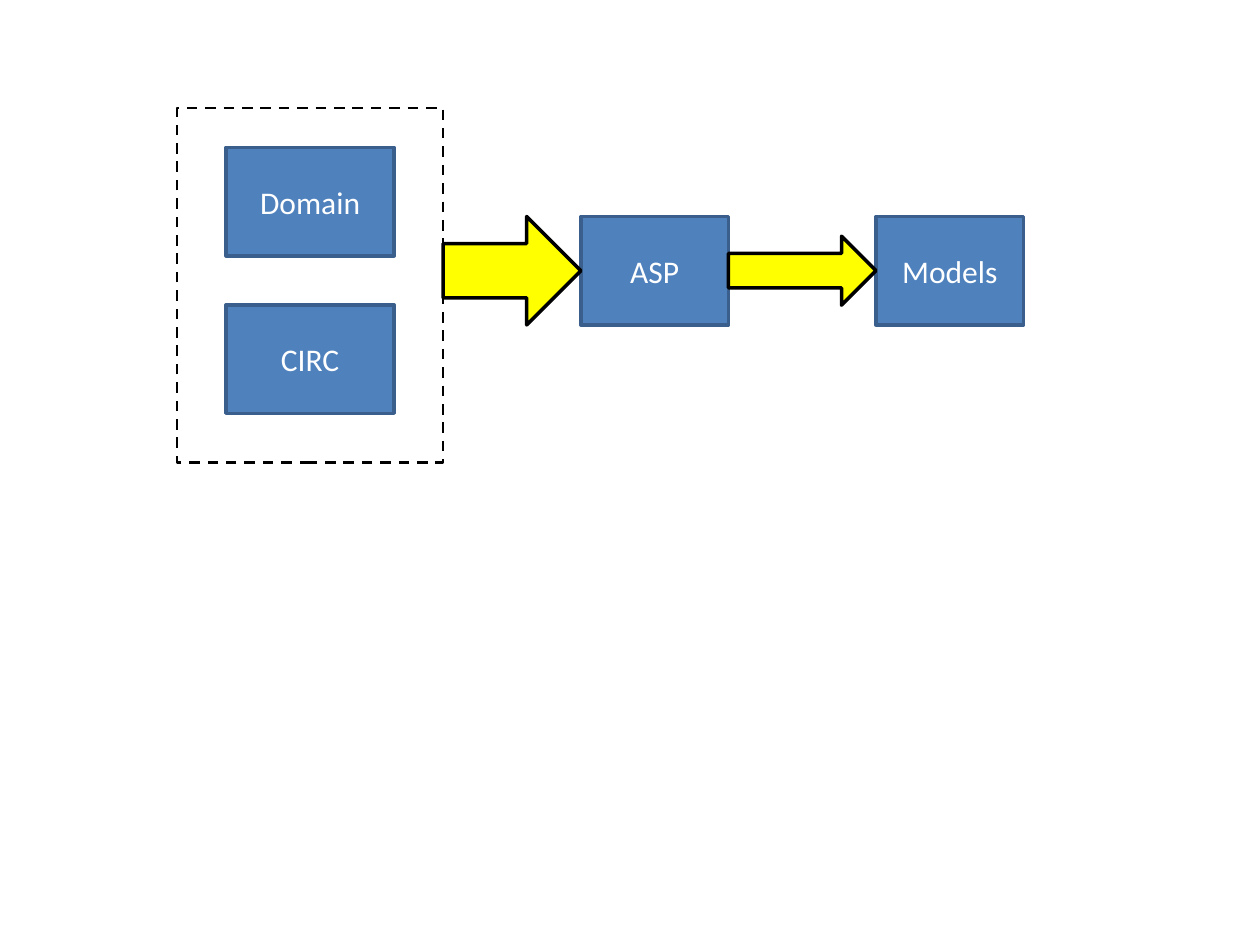
import pptx
import pptx.util
from dataclasses import dataclass
from pptx.dml.color import RGBColor
from pptx.enum.dml import MSO_LINE
from pptx.enum.shapes import MSO_SHAPE
from pptx.enum.text import MSO_ANCHOR, PP_ALIGN

Pt = pptx.util.Pt


@dataclass(frozen=True)
class Theme:
    box_fill: RGBColor = RGBColor(0x4F, 0x81, 0xBD)
    box_edge: RGBColor = RGBColor(0x3A, 0x5F, 0x8C)
    label: RGBColor = RGBColor(0xFF, 0xFF, 0xFF)
    arrow_fill: RGBColor = RGBColor(0xFF, 0xFF, 0x00)
    ink: RGBColor = RGBColor(0, 0, 0)
    font: str = "Calibri"
    label_size: float = 18
    edge_width: float = 2
    frame_width: float = 1.5


THEME = Theme()

# Layout in points: the whole flow runs along one centre line
FLOW_Y = 154.7
STEP_HEIGHT = 62
STEP_WIDTH = 84.3
INPUT_WIDTH = 96
INPUTS_LEFT, INPUTS_WIDTH = 101.2, 152
INPUTS_TOP, INPUTS_HEIGHT = 61.8, 202.4
INPUT_X = INPUTS_LEFT + (INPUTS_WIDTH - INPUT_WIDTH) / 2
DOMAIN_Y, CIRC_Y = 115.2, 205.2
INPUTS_RIGHT = INPUTS_LEFT + INPUTS_WIDTH
ASP_X = 332
ASP_RIGHT = ASP_X + STEP_WIDTH
MODELS_X = ASP_RIGHT + STEP_WIDTH


def apply_format(target, values):
    for name, value in values.items():
        setattr(target, name, value)


def add_outlined(slide, preset, left, top, width, height, fill, edge, line_format):
    outlined = slide.shapes.add_shape(
        preset, Pt(left), Pt(top), Pt(width), Pt(height))
    outlined.shadow.inherit = False
    if fill is None:
        outlined.fill.background()
    else:
        outlined.fill.solid()
        outlined.fill.fore_color.rgb = fill
    outlined.line.color.rgb = edge
    apply_format(outlined.line, line_format)
    return outlined


def add_step(slide, label, left, centre_y, width):
    step = add_outlined(
        slide, MSO_SHAPE.RECTANGLE, left, centre_y - STEP_HEIGHT / 2,
        width, STEP_HEIGHT, THEME.box_fill, THEME.box_edge,
        {"width": Pt(THEME.edge_width)})
    apply_format(step.text_frame, {
        "text": label, "word_wrap": True, "vertical_anchor": MSO_ANCHOR.MIDDLE})
    caption = step.text_frame.paragraphs[0]
    caption.alignment = PP_ALIGN.CENTER
    apply_format(caption.runs[0].font, {
        "name": THEME.font, "size": Pt(THEME.label_size)})
    caption.runs[0].font.color.rgb = THEME.label


def add_flow_arrow(slide, start_x, end_x, height):
    add_outlined(
        slide, MSO_SHAPE.RIGHT_ARROW, start_x, FLOW_Y - height / 2,
        end_x - start_x, height, THEME.arrow_fill, THEME.ink,
        {"width": Pt(THEME.edge_width)})


def add_inputs_frame(slide):
    add_outlined(
        slide, MSO_SHAPE.RECTANGLE, INPUTS_LEFT, INPUTS_TOP,
        INPUTS_WIDTH, INPUTS_HEIGHT, None, THEME.ink,
        {"width": Pt(THEME.frame_width), "dash_style": MSO_LINE.DASH})


def main():
    deck = pptx.Presentation()
    apply_format(deck, {"slide_width": Pt(720), "slide_height": Pt(540)})
    slide = deck.slides.add_slide(deck.slide_layouts[6])

    # Inputs and solver
    add_step(slide, "CIRC", INPUT_X, CIRC_Y, INPUT_WIDTH)
    add_step(slide, "ASP", ASP_X, FLOW_Y, STEP_WIDTH)
    add_flow_arrow(slide, INPUTS_RIGHT, ASP_X, STEP_HEIGHT)
    add_step(slide, "Domain", INPUT_X, DOMAIN_Y, INPUT_WIDTH)

    # Result, and the frame around the inputs
    add_step(slide, "Models", MODELS_X, FLOW_Y, STEP_WIDTH)
    add_inputs_frame(slide)
    add_flow_arrow(slide, ASP_RIGHT, MODELS_X, 39.4)

    deck.save("out.pptx")


if __name__ == "__main__":
    main()
